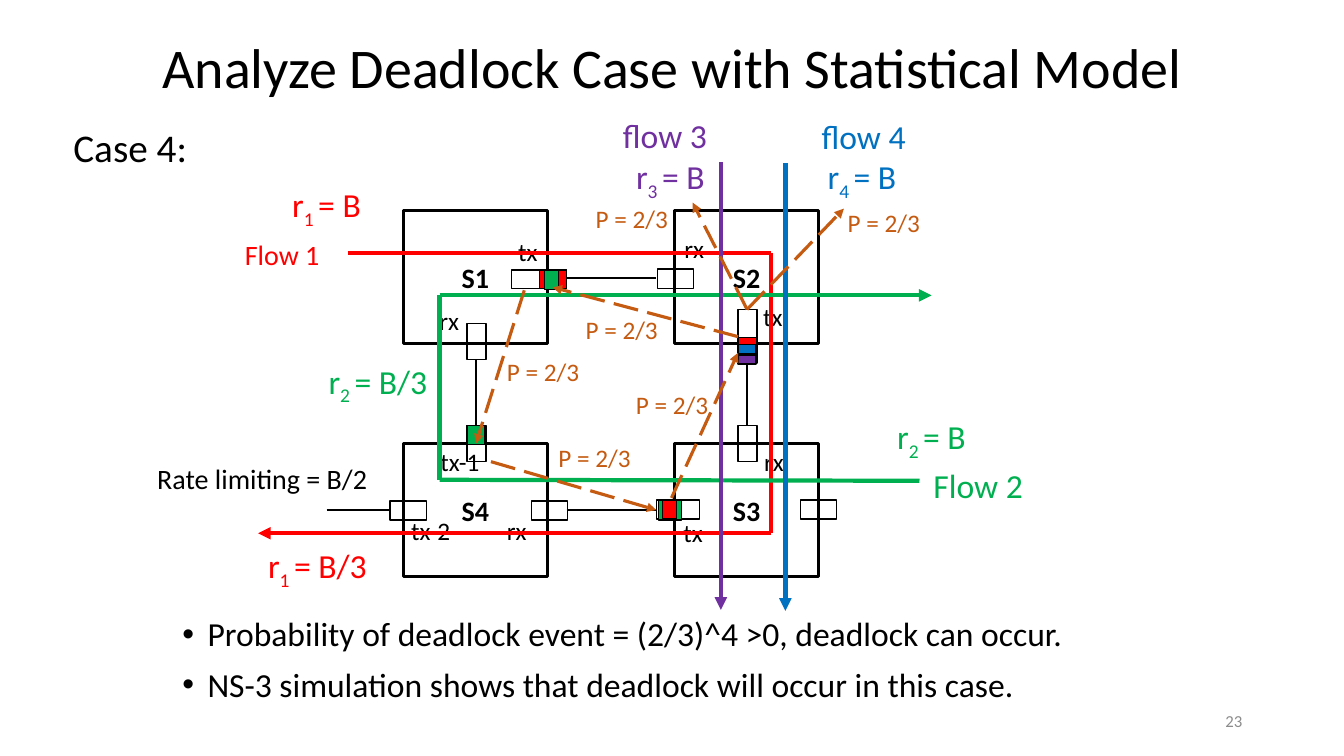
from pptx import Presentation
from pptx.dml.color import RGBColor
from pptx.enum.dml import MSO_LINE_DASH_STYLE as Dash
from pptx.enum.shapes import MSO_CONNECTOR, MSO_SHAPE
from pptx.enum.text import MSO_ANCHOR as Anchor, MSO_AUTO_SIZE as AutoSize, PP_ALIGN as Align
from pptx.oxml.ns import qn
from pptx.util import Pt
from lxml.etree import SubElement

EMU_PER_PX = 9144
FONT = "Calibri"
BLACK = RGBColor(0x00, 0x00, 0x00)
GRAY = RGBColor(0x8C, 0x8C, 0x8C)
RED = RGBColor(0xFF, 0x00, 0x00)
GREEN = RGBColor(0x00, 0xB0, 0x50)
BLUE = RGBColor(0x00, 0x70, 0xC0)
PURPLE = RGBColor(0x70, 0x30, 0xA0)
ORANGE = RGBColor(0xC5, 0x5A, 0x11)

SWITCH_W, SWITCH_H = 143, 132
COLUMN_PITCH, ROW_PITCH = 269, 231
LABEL_WIDTHS = {"rx": 40, "tx": 39, "tx-1": 60, "tx-2": 60}

SWITCHES = [
    ("S1", 0, 0,
     [(107, 59, 55, 18), (63, 112, 19, 36)],
     [(135, 59, 27, 18, RED), (140, 59, 14, 19, GREEN)],
     [("tx", 104, 21), ("rx", 26, 89)]),
    ("S2", 1, 0,
     [(-17, 58, 36, 19), (63, 98, 19, 53)],
     [(63, 126, 19, 25, RED), (63, 133, 18, 9, BLUE), (63, 143, 18, 9, PURPLE)],
     [("rx", 0, 18), ("tx", 78, 85)]),
    ("S3", 1, 1,
     [(-18, 56, 43, 19), (63, -18, 19, 36), (125, 56, 36, 19)],
     [(-16, 56, 23, 20, GREEN), (-12, 56, 14, 19, RED)],
     [("rx", 79, -2), ("tx", -1, 68)]),
    ("S4", 0, 1,
     [(63, -18, 19, 36), (127, 57, 36, 19), (-13, 57, 36, 19)],
     [(63, -18, 18, 19, GREEN)],
     [("tx-1", 27, -2), ("rx", 93, 66), ("tx-2", -2, 66)]),
]
LINKS = [
    (162, 297, 251, 297),
    (162, 67, 251, 67),
    (341, 213, 341, 151),
    (72, 213, 72, 148),
    (-76, 297, -14, 297),
]
FLOWS = [
    (RED, [(-55, 42), (365, 42), (365, 320), (-144, 320)]),
    (GREEN, [(512, 268), (36, 267), (36, 84), (524, 84)]),
    (PURPLE, [(315, -48), (315, 396)]),
    (BLUE, [(379, -47), (379, 397)]),
]
PAUSES = [
    ((266, 285, 332, 141), (221, 172)),
    ((120, 79, 72, 231), (93, 140)),
    ((87, 249, 251, 297), (144, 225)),
    ((332, 125, 148, 76), (171, 98)),
    ((341, 98, 287, -8), (181, -12)),
    ((341, 98, 437, -2), (431, -8)),
]
RATES = [
    ("1", "B", -120, -31, 91, RED),
    ("2", "B", 480, 199, 91, GREEN),
    ("2", "B/3", -84, 144, 121, GREEN),
    ("1", "B/3", -144, 327, 121, RED),
    ("3", "B", 221, -59, 91, PURPLE),
    ("4", "B", 411, -59, 91, BLUE),
]
FLOW_NAMES = [
    ("Flow 1", (-167, 22, 95, 44), 20, RED),
    ("Flow 2", (516, 247, 109, 50), 24, GREEN),
    ("flow 3", (208, -100, 104, 50), 24, PURPLE),
    ("flow 4", (405, -99, 104, 50), 24, BLUE),
    ("Rate limiting = B/2", (-254, 244, 231, 44), 20, BLACK),
]
CONCLUSIONS = [
    "Probability of deadlock event = (2/3)^4 >0, deadlock can occur.",
    "NS-3 simulation shows that deadlock will occur in this case.",
]


def px(*lengths):
    return [round(length * EMU_PER_PX) for length in lengths]


def set_font(paragraph, size, color, bold=False):
    font = paragraph.font
    font.name, font.size, font.bold = FONT, Pt(size), bold
    font.color.rgb = color


def add_text(slide, box, text, size, color, align=Align.LEFT, wrap=False):
    frame = slide.shapes.add_textbox(*px(*box)).text_frame
    frame.word_wrap = wrap
    frame.auto_size = AutoSize.SHAPE_TO_FIT_TEXT
    paragraph = frame.paragraphs[0]
    paragraph.text = text
    paragraph.alignment = align
    set_font(paragraph, size, color)
    return frame


def add_block(slide, box, width, fill=None):
    block = slide.shapes.add_shape(MSO_SHAPE.RECTANGLE, *px(*box))
    block.shadow.inherit = False
    block.line.color.rgb = BLACK
    block.line.width = Pt(width)
    if fill is None:
        block.fill.background()
    else:
        block.fill.solid()
        block.fill.fore_color.rgb = fill
    return block


def add_line(slide, ends, color, width, arrow=False, dashed=False):
    connector = slide.shapes.add_connector(MSO_CONNECTOR.STRAIGHT, *px(*ends))
    connector.line.color.rgb = color
    connector.line.width = Pt(width)
    if dashed:
        connector.line.dash_style = Dash.LONG_DASH
    if arrow:
        SubElement(connector.line._get_or_add_ln(), qn("a:tailEnd"), type="triangle")
    SubElement(connector._element.spPr, qn("a:effectLst"))


def add_rate(slide, box, index, rate, color):
    frame = add_text(slide, box, "r", 24, color)
    paragraph = frame.paragraphs[0]
    subscript = paragraph.add_run()
    subscript.text = f"{index} "
    subscript._r.get_or_add_rPr().set("baseline", "-25000")
    paragraph.add_run().text = f"= {rate}"


def add_switch(slide, left, top, name, ports, queues, labels):
    switch = add_block(slide, (left, top, SWITCH_W, SWITCH_H), 2.25)
    frame = switch.text_frame
    frame.vertical_anchor = Anchor.MIDDLE
    paragraph = frame.paragraphs[0]
    paragraph.text = name
    paragraph.alignment = Align.CENTER
    set_font(paragraph, 20, BLACK, bold=True)
    for x, y, width, height in ports:
        add_block(slide, (left + x, top + y, width, height), 1)
    for x, y, width, height, color in queues:
        add_block(slide, (left + x, top + y, width, height), 1, color)
    for label, x, y in labels:
        add_text(slide, (left + x, top + y, LABEL_WIDTHS[label], 40), label, 18, BLACK)


def add_network(slide, left, top):
    def shift(x1, y1, x2, y2):
        return left + x1, top + y1, left + x2, top + y2

    for name, column, row, ports, queues, labels in SWITCHES:
        add_switch(slide, left + column * COLUMN_PITCH, top + row * ROW_PITCH,
                   name, ports, queues, labels)
    for ends in LINKS:
        add_line(slide, shift(*ends), BLACK, 1.5)
    for color, stops in FLOWS:
        for start, end in zip(stops, stops[1:]):
            add_line(slide, shift(*start, *end), color, 3, arrow=end == stops[-1])
    for ends, (x, y) in PAUSES:
        add_line(slide, shift(*ends), ORANGE, 2.25, arrow=True, dashed=True)
        add_text(slide, (left + x, top + y, 93, 40), "P = 2/3", 18, ORANGE)
    for index, rate, x, y, width, color in RATES:
        add_rate(slide, (left + x, top + y, width, 50), index, rate, color)
    for name, (x, y, width, height), size, color in FLOW_NAMES:
        add_text(slide, (left + x, top + y, width, height), name, size, color)


def add_header(slide, left, top, width):
    add_text(slide, (left, top, width, 77), "Analyze Deadlock Case with Statistical Model",
             40, BLACK, Align.CENTER, wrap=True)
    add_text(slide, (left + 13, top + 90, 134, 57), "Case 4:", 28, BLACK)


def add_conclusions(slide, box):
    frame = slide.shapes.add_textbox(*px(*box)).text_frame
    frame.word_wrap = True
    for number, conclusion in enumerate(CONCLUSIONS):
        paragraph = frame.add_paragraph() if number else frame.paragraphs[0]
        paragraph.text = conclusion
        paragraph.line_spacing = 0.9
        if number:
            paragraph.space_before = Pt(10)
        properties = paragraph._p.get_or_add_pPr()
        properties.set("marL", str(25 * EMU_PER_PX))
        properties.set("indent", str(-25 * EMU_PER_PX))
        SubElement(properties, qn("a:buFont"), typeface="Arial")
        SubElement(properties, qn("a:buChar"), char="•")
        set_font(paragraph, 24, BLACK)


def add_page_number(slide, box):
    frame = add_text(slide, box, "23", 12, GRAY, Align.RIGHT, wrap=True)
    frame.auto_size = AutoSize.NONE
    frame.vertical_anchor = Anchor.MIDDLE


def main():
    deck = Presentation()
    deck.slide_width, deck.slide_height = px(1333, 750)
    slide = deck.slides.add_slide(deck.slide_layouts[6])
    add_header(slide, 50, 27, 1233)
    add_network(slide, 400, 209)
    add_conclusions(slide, (171, 608, 992, 136))
    add_page_number(slide, (942, 695, 300, 40))
    deck.save("out.pptx")


if __name__ == "__main__":
    main()
